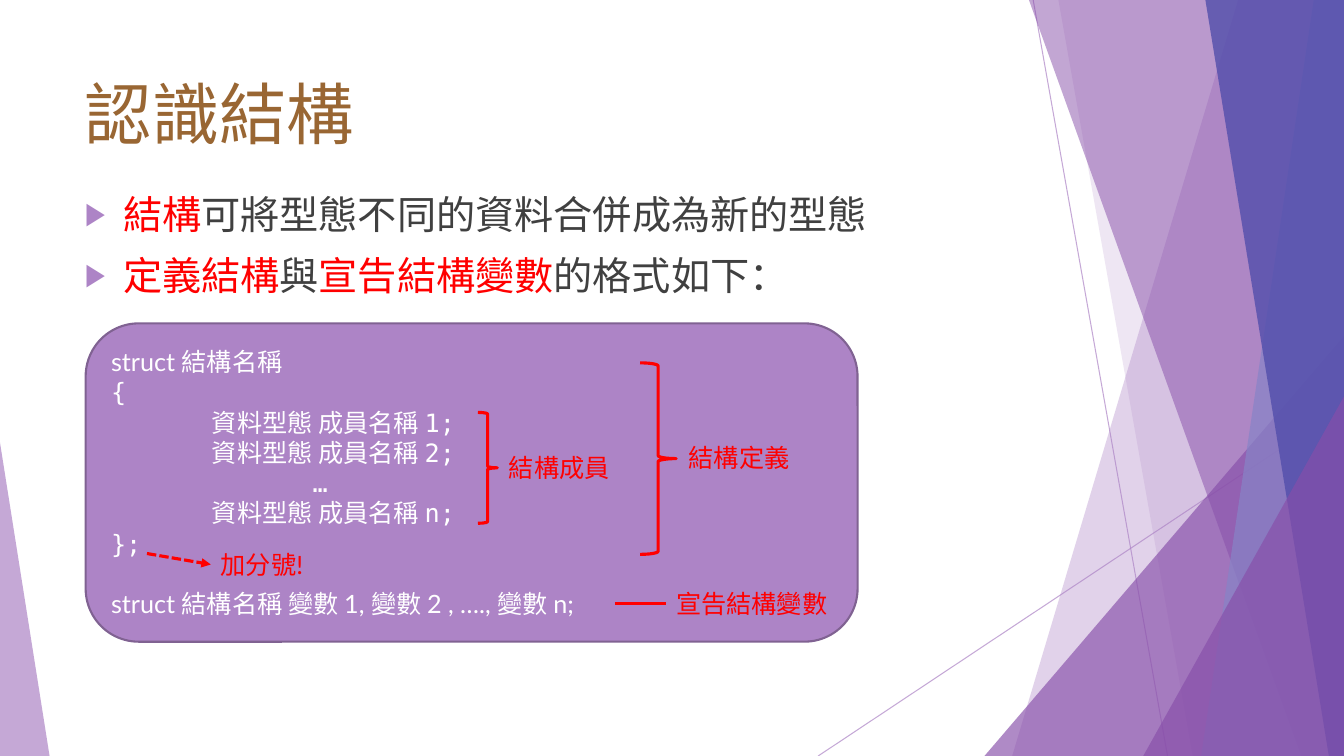
from lxml import etree
from pptx import Presentation
from pptx.dml.color import RGBColor
from pptx.enum.dml import MSO_LINE
from pptx.enum.shapes import MSO_CONNECTOR, MSO_SHAPE
from pptx.enum.text import MSO_ANCHOR, PP_ALIGN
from pptx.oxml.ns import qn
from pptx.util import Inches, Pt

COLUMNS, ROWS = 160, 90
CELL = Inches(7.5) / ROWS
STRAIGHT = MSO_CONNECTOR.STRAIGHT
TRIANGLE = MSO_SHAPE.ISOSCELES_TRIANGLE
ROUNDED = MSO_SHAPE.ROUNDED_RECTANGLE
BRACE = MSO_SHAPE.RIGHT_BRACE
DASH = MSO_LINE.SQUARE_DOT
LEFT = PP_ALIGN.LEFT
TOP, MIDDLE = MSO_ANCHOR.TOP, MSO_ANCHOR.MIDDLE

SANS, MONO = "Lato", "DejaVu Sans Mono"
LILAC, PURPLE, BORDER = "AD84C6", "874EA9", "806292"
RED, GREY, WHITE, BROWN = "FF0000", "404040", "FFFFFF", "996633"

BANDS_BEHIND = [(147.4, 120.5, LILAC, 36), (126, 142, LILAC, 20)]
BANDS_FRONT = [
    (122.5, 154.9, PURPLE, 50),
    (156.4, 143, "8784C7", 70),
    (143.5, 158.2, "524EAB", 80),
]
BULLETS = [
    [("結構", RED), ("可將型態不同的資料合併成為新的型態", GREY)],
    [("定義結構", RED), ("與", GREY), ("宣告結構變數", RED), ("的格式如下：", GREY)],
]
CODE = [
    ("struct 結構名稱", SANS, 0),
    ("{", MONO, 0),
    ("資料型態 成員名稱 1;", MONO, 1),
    ("資料型態 成員名稱 2;", MONO, 1),
    ("…", MONO, 2),
    ("資料型態 成員名稱 n;", MONO, 1),
    ("};", MONO, 0),
    ("struct 結構名稱 變數 1, 變數 2 , …., 變數 n;", SANS, 0),
]
LABELS = [
    ("加分號!", 25.1, 64.8, 15.2),
    ("結構成員", 59.4, 53.3, 15.2),
    ("結構定義", 80.8, 52.1, 15.2),
    ("宣告結構變數", 79.3, 69.4, 21.5),
]


def grid(*cells):
    return [round(cell * CELL) for cell in cells]


def paint(target, colour, opacity=100):
    target.solid()
    target.fore_color.rgb = RGBColor.from_string(colour)
    if opacity < 100:
        tint = target._xPr.find(qn("a:solidFill"))[0]
        etree.SubElement(tint, qn("a:alpha"), val=str(opacity * 1000))


def write(paragraph, text, size=18, font=SANS, colour=RED):
    run = paragraph.add_run()
    run.text = text
    run.font.size = Pt(size)
    run.font.name = font
    run.font.color.rgb = RGBColor.from_string(colour)


def next_paragraph(frame, index, space=0):
    paragraph = frame.add_paragraph() if index else frame.paragraphs[0]
    paragraph.alignment = LEFT
    paragraph.space_before = Pt(space if index else 0)
    return paragraph


def add_line(slide, start, end, colour=RED, width=2.25, opacity=100):
    line = slide.shapes.add_connector(STRAIGHT, *grid(*start, *end))
    paint(line.line.fill, colour, opacity)
    line.line.width = Pt(width)
    etree.SubElement(line._element.spPr, qn("a:effectLst"))
    return line


def add_outline(slide, kind, box, colour, width):
    shape = slide.shapes.add_shape(kind, *grid(*box))
    shape.shadow.inherit = False
    shape.fill.background()
    paint(shape.line.fill, colour)
    shape.line.width = Pt(width)
    return shape


def add_facet(shape, colour, opacity):
    shape.shadow.inherit = False
    shape.line.fill.background()
    paint(shape.fill, colour, opacity)


def add_band(slide, top, bottom, colour, opacity):
    outline = slide.shapes.build_freeform(*grid(top, 0))
    corners = [(COLUMNS, 0), (COLUMNS, ROWS), (bottom, ROWS)]
    outline.add_line_segments([grid(*corner) for corner in corners], close=True)
    add_facet(outline.convert_to_shape(), colour, opacity)


def add_corner(slide, left, top, width, peak, colour, opacity):
    corner = slide.shapes.add_shape(TRIANGLE, *grid(left, top, width, ROWS - top))
    corner.adjustments[0] = peak
    add_facet(corner, colour, opacity)


def add_backdrop(slide):
    add_line(slide, (123, 0), (139, ROWS), LILAC, 0.75, 70)
    add_line(slide, (COLUMNS, 48.4), (97.4, ROWS), LILAC, 0.75, 70)
    for band in BANDS_BEHIND:
        add_band(slide, *band)
    add_corner(slide, 117.2, 40, 42.8, 1, PURPLE, 66)
    for band in BANDS_FRONT:
        add_band(slide, *band)
    add_corner(slide, 136.1, 47.2, 23.9, 1, PURPLE, 66)
    add_corner(slide, 0, 52.7, 5.9, 0, LILAC, 70)


def settle(placeholder, *box):
    placeholder.left, placeholder.top, placeholder.width, placeholder.height = grid(*box)
    placeholder.text_frame.vertical_anchor = TOP
    return placeholder.text_frame


def add_bullet(paragraph):
    properties = paragraph._p.get_or_add_pPr()
    properties.set("marL", str(Inches(0.38)))
    properties.set("indent", str(-Inches(0.38)))
    tint = etree.SubElement(properties, qn("a:buClr"))
    etree.SubElement(tint, qn("a:srgbClr"), val=LILAC)
    etree.SubElement(properties, qn("a:buSzPct"), val="80000")
    etree.SubElement(properties, qn("a:buChar"), char="▶")


def add_heading(slide):
    frame = settle(slide.shapes.title, 8.9, 8, 120, 10)
    write(next_paragraph(frame, 0), "認識結構", size=48, colour=BROWN)


def add_bullets(slide):
    frame = settle(slide.placeholders[1], 8.9, 22, 120, 15.4)
    for index, phrases in enumerate(BULLETS):
        paragraph = next_paragraph(frame, index, 10)
        add_bullet(paragraph)
        for text, colour in phrases:
            write(paragraph, text, size=28, colour=colour)


def add_code(slide):
    panel = add_outline(slide, ROUNDED, (10.2, 38.5, 91.9, 37.9), BORDER, 1.5)
    paint(panel.fill, LILAC)
    frame = panel.text_frame
    frame.word_wrap = True
    frame.vertical_anchor = MIDDLE
    for index, (text, font, depth) in enumerate(CODE):
        is_declaration = index == len(CODE) - 1
        paragraph = next_paragraph(frame, index, 21.6 if is_declaration else 0)
        paragraph._p.get_or_add_pPr().set("marL", str(Inches(depth)))
        write(paragraph, text, font=font, colour=WHITE)


def add_notes_on_code(slide):
    arrow = add_line(slide, (17.5, 65.9), (25.1, 67.2))
    arrow.line.dash_style = DASH
    etree.SubElement(arrow.line._get_or_add_ln(), qn("a:tailEnd"), type="triangle")
    add_outline(slide, BRACE, (56.9, 49.1, 2.3, 13.2), RED, 2.25)
    add_outline(slide, BRACE, (76.2, 43.2, 4.3, 22.8), RED, 2.25)
    add_line(slide, (73.2, 71.8), (79.3, 71.8))
    for text, left, top, width in LABELS:
        label = slide.shapes.add_textbox(*grid(left, top, width, 4.8))
        label.text_frame.word_wrap = True
        write(next_paragraph(label.text_frame, 0), text)


def main():
    deck = Presentation()
    deck.slide_width, deck.slide_height = grid(COLUMNS, ROWS)
    slide = deck.slides.add_slide(deck.slide_layouts[1])
    add_backdrop(slide)
    add_heading(slide)
    add_bullets(slide)
    add_code(slide)
    add_notes_on_code(slide)
    deck.save("out.pptx")


if __name__ == "__main__":
    main()
